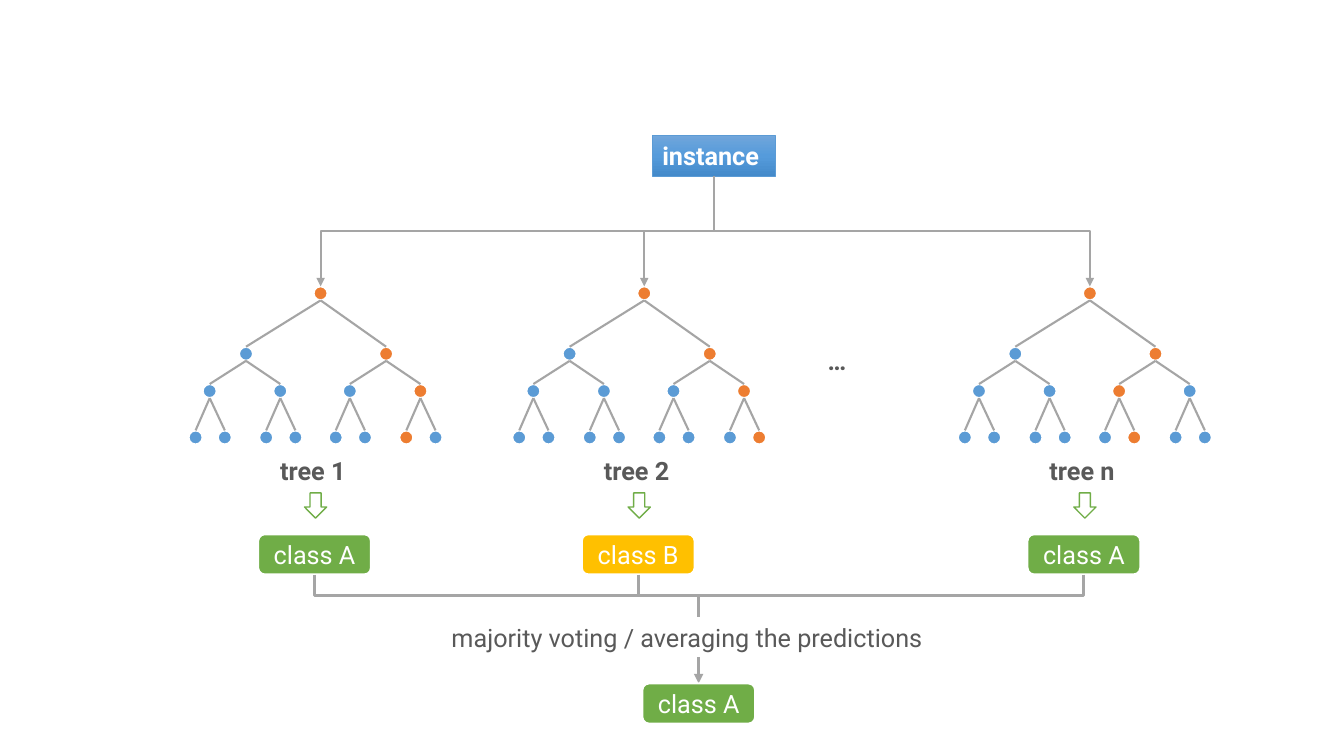
import copy

import pptx
import pptx.dml.color
import pptx.enum.shapes
import pptx.enum.text
import pptx.oxml
import pptx.oxml.ns
import pptx.util

Inches = pptx.util.Inches
Pt = pptx.util.Pt
SHAPE = pptx.enum.shapes.MSO_SHAPE
LINK = pptx.enum.shapes.MSO_CONNECTOR
ALIGN = pptx.enum.text.PP_ALIGN
ANCHOR = pptx.enum.text.MSO_ANCHOR
FIT = pptx.enum.text.MSO_AUTO_SIZE
qn = pptx.oxml.ns.qn

FONT = "Roboto"
WHITE, GRAY, TEXT = "FFFFFF", "A5A5A5", "595959"
BLUE, ORANGE, GREEN, YELLOW = "5B9BD5", "ED7D31", "70AD47", "FFC000"

NODE = 0.14
LEVEL_Y = (0.07, 0.67, 1.04, 1.5)
BRANCH_DX = ((-0.74, 0.65), (-0.36, 0.34), (-0.14, 0.15))
TREE_W, ROOT_DX, CLASS_DX = 2.51, 1.31, 1.25
TREE_TOP = 2.84
CLASS_W, ROW_H = 1.12, 0.4
CLASS_TOP = 5.3
RESULT_X = 6.93
# left edge, label, path to the chosen leaf, class, class colour
TREES = (
    (1.87, "tree 1", "RRL", "class A", GREEN),
    (5.08, "tree 2", "RRR", "class B", YELLOW),
    (9.5, "tree n", "RLR", "class A", GREEN),
)


def rgb(value):
    """Turn a hex string into a colour."""
    return pptx.dml.color.RGBColor.from_string(value)


def write(sp, text, color, bold=False, centered=False):
    """Put one line of text into a shape; uncentred text sizes its box."""
    tf = sp.text_frame
    tf.text = text
    tf.word_wrap = centered
    tf.auto_size = FIT.NONE if centered else FIT.SHAPE_TO_FIT_TEXT
    tf.vertical_anchor = ANCHOR.MIDDLE if centered else ANCHOR.TOP
    p = tf.paragraphs[0]
    p.alignment = ALIGN.CENTER if centered else ALIGN.LEFT
    font = p.runs[0].font
    font.name, font.size, font.bold = FONT, Pt(18), bold
    font.color.rgb = rgb(color)


def add_label(s, x, y, w, text, bold=False):
    """Add a text box."""
    sp = s.shapes.add_textbox(Inches(x), Inches(y), Inches(w), Inches(ROW_H))
    write(sp, text, TEXT, bold)


def add_box(s, kind, x, y, w, h, fill, line, width):
    """Add a filled and outlined preset shape."""
    sp = s.shapes.add_shape(kind, Inches(x), Inches(y), Inches(w), Inches(h))
    sp.shadow.inherit = False
    sp.fill.solid()
    sp.fill.fore_color.rgb = rgb(fill)
    sp.line.color.rgb = rgb(line)
    sp.line.width = Pt(width)
    return sp


def add_line(s, kind, start, end, width, arrow=False):
    """Add a gray connector, with an arrowhead at its end if asked."""
    cx = s.shapes.add_connector(kind, *(Inches(v) for v in (*start, *end)))
    cx.line.color.rgb = rgb(GRAY)
    cx.line.width = Pt(width)
    pptx.oxml.ns  # namespace helpers come with the package
    if arrow:
        ln = cx.line._get_or_add_ln()
        ln.append(ln.makeelement(qn("a:tailEnd"), {"type": "triangle"}))
    spPr = cx._element.spPr
    spPr.append(spPr.makeelement(qn("a:effectLst"), {}))
    return cx


def add_elbow(s, start, end, width, arrow=False):
    """Add an elbow that leaves downwards: a level elbow, turned a quarter."""
    (x1, y1), (x2, y2) = start, end
    mx, my = (x1 + x2) / 2, (y1 + y2) / 2
    turn = -1 if x2 < x1 else 1
    half_w, half_h = turn * (y2 - y1) / 2, abs(x2 - x1) / 2
    cx = add_line(s, LINK.ELBOW, (mx + half_w, my - half_h),
                  (mx - half_w, my + half_h), width, arrow)
    degrees = 90 if turn < 0 else 270
    cx._element.spPr.find(qn("a:xfrm")).set("rot", str(degrees * 60000))


def add_class(s, center, y, text, fill):
    """Add a rounded class box centred on a vertical axis."""
    sp = add_box(s, SHAPE.ROUNDED_RECTANGLE, center - CLASS_W / 2, y,
                 CLASS_W, ROW_H, fill, WHITE, 1.5)
    write(sp, text, WHITE, centered=True)


def add_branch(s, x, top, chosen, path=""):
    """Draw a node and everything below it; the chosen path is orange."""
    depth = len(path)
    y = top + LEVEL_Y[depth]
    fill = ORANGE if chosen.startswith(path) else BLUE
    add_box(s, SHAPE.OVAL, x - NODE / 2, y - NODE / 2, NODE, NODE,
            fill, WHITE, 1.5)
    if depth == len(BRANCH_DX):
        return
    for side, dx in zip("LR", BRANCH_DX[depth]):
        child_top = top + LEVEL_Y[depth + 1] - NODE / 2
        add_branch(s, x + dx, top, chosen, path + side)
        add_line(s, LINK.STRAIGHT, (x + dx, child_top), (x, y + NODE / 2), 1.5)


def add_tree(s, left, top, label, chosen, result, fill):
    """Draw one tree column: nodes, label, arrow and class box."""
    add_branch(s, left + ROOT_DX, top, chosen)
    add_label(s, left + 0.81, top + 1.63, 0.89, label, bold=True)
    add_box(s, SHAPE.DOWN_ARROW, left + 1.15, top + 2.05, 0.22, 0.25,
            WHITE, GREEN, 1)
    add_class(s, left + CLASS_DX, CLASS_TOP, result, fill)


def add_instance(s, x, y, w, h):
    """Draw the instance box and its arrows to the tree roots."""
    sp = add_box(s, SHAPE.RECTANGLE, x, y, w, h, BLUE, BLUE, 0.5)
    sp.fill.gradient()
    sp.fill.gradient_angle = 270
    gs_list = sp._element.spPr.find(".//" + qn("a:gsLst"))
    gs_list.insert(1, copy.deepcopy(gs_list[0]))
    colors = ("71A6DB", "559BDB", "448ACA")
    for i, (stop, color) in enumerate(zip(sp.fill.gradient_stops, colors)):
        stop.position = i / 2
        stop.color.rgb = rgb(color)
    write(sp, "instance", WHITE, bold=True)
    for left, *_ in TREES:
        add_elbow(s, (x + w / 2, y + h), (left + ROOT_DX, TREE_TOP), 1.5, True)


def add_vote(s, x, y):
    """Draw the vote below the class boxes and the resulting class."""
    for left, *_ in TREES:
        add_elbow(s, (left + CLASS_DX, CLASS_TOP + ROW_H), (x, y), 2.25)
    add_label(s, x - 2.55, y, 5.1, "majority voting / averaging the predictions")
    add_elbow(s, (x, y + ROW_H), (x, y + 0.66), 2.25, True)
    add_class(s, x, y + 0.66, "class A", GREEN)


def build_forest(prs):
    """Build the random forest slide."""
    s = prs.slides.add_slide(prs.slide_layouts[6])
    for left, *rest in TREES:
        add_tree(s, left, TREE_TOP, *rest)
    add_label(s, 8.11, 3.38, 0.39, "…", bold=True)
    add_vote(s, RESULT_X, 6.12)
    add_instance(s, 6.47, 1.34, 1.22, 0.41)


prs = pptx.Presentation()
prs.slide_width, prs.slide_height = Inches(13.33), Inches(7.5)
build_forest(prs)
prs.save("out.pptx")
